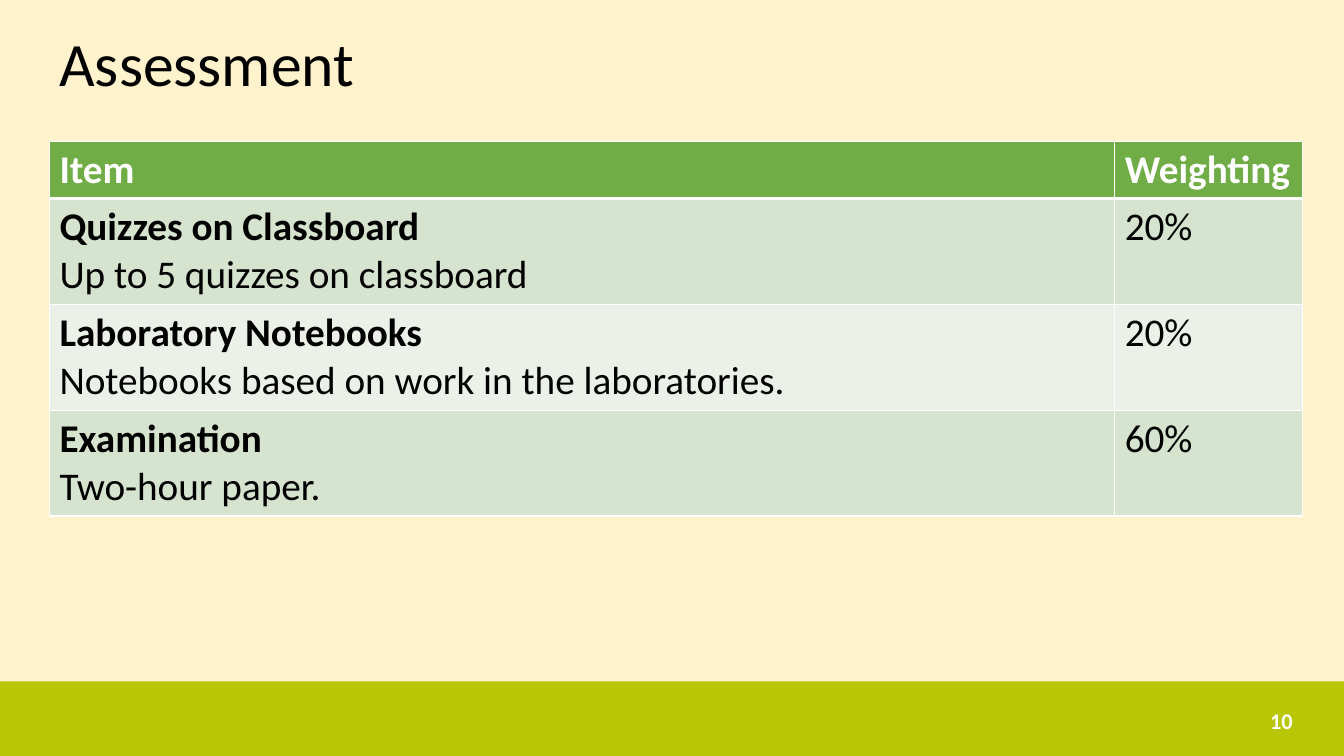
from dataclasses import dataclass

from lxml.etree import SubElement
from pptx import Presentation
from pptx.dml.color import RGBColor
from pptx.enum.shapes import MSO_SHAPE
from pptx.enum.text import MSO_ANCHOR, PP_ALIGN
from pptx.oxml.ns import qn
from pptx.util import Inches, Pt


@dataclass(frozen=True)
class Theme:
    font: str = "Calibri"
    background: str = "FFF2CC"
    footer: str = "B8C605"
    header: str = "70AD47"
    bands: tuple = ("D5E3CF", "EBF1E9")
    dark: str = "000000"
    light: str = "FFFFFF"
    title_size: int = 44
    table_size: int = 28
    number_size: int = 16
    thin: int = 1
    thick: int = 3


THEME = Theme()
WIDTH, HEIGHT = 13.33, 7.5
MARGIN, CONTENT_WIDTH = 0.49, 12.43
HEADER_HEIGHT, ROW_HEIGHT = 0.57, 1.05
WEIGHT_SHARE = 0.15

HEADINGS = ("Item", "Weighting")
ASSESSMENTS = [
    ("Quizzes on Classboard", "Up to 5 quizzes on classboard", "20%"),
    ("Laboratory Notebooks", "Notebooks based on work in the laboratories.", "20%"),
    ("Examination", "Two-hour paper.", "60%"),
]


def paint(fill, color):
    fill.solid()
    fill.fore_color.rgb = RGBColor.from_string(color)


def add_run(p, text, size, color, bold=False):
    r = p.add_run()
    r.text = text
    r.font.name = THEME.font
    r.font.size = Pt(size)
    r.font.bold = bold
    r.font.color.rgb = RGBColor.from_string(color)


def add_label(s, box, text, size, color, bold=False, align=PP_ALIGN.LEFT, spacing=1.0):
    tf = s.shapes.add_textbox(*map(Inches, box)).text_frame
    tf.word_wrap = True
    tf.vertical_anchor = MSO_ANCHOR.MIDDLE
    p = tf.paragraphs[0]
    p.alignment = align
    p.line_spacing = spacing
    add_run(p, text, size, color, bold)


def add_footer(s, box, number):
    left, top, width, height = box
    sp = s.shapes.add_shape(MSO_SHAPE.RECTANGLE, *map(Inches, box))
    sp.shadow.inherit = False
    paint(sp.fill, THEME.footer)
    sp.line.fill.background()
    number_width, number_height = 3.51, 0.4
    number_box = (MARGIN + CONTENT_WIDTH - number_width, top + height / 4,
                  number_width, number_height)
    add_label(s, number_box, number, THEME.number_size, THEME.light,
              bold=True, align=PP_ALIGN.RIGHT)


def set_borders(cell, top, bottom):
    """Draw all four sides; widths are in points."""
    tc_pr = cell._tc.get_or_add_tcPr()
    sides = {"L": THEME.thin, "R": THEME.thin, "T": top, "B": bottom}
    for side, width in sides.items():
        ln = SubElement(tc_pr, qn(f"a:ln{side}"), w=str(Pt(width)))
        SubElement(SubElement(ln, qn("a:solidFill")), qn("a:srgbClr"), val=THEME.light)


def fill_cell(cell, lines, fill, color, top, bottom):
    """Write (text, bold) lines, one paragraph each."""
    set_borders(cell, top, bottom)
    paint(cell.fill, fill)
    tf = cell.text_frame
    for i, (text, bold) in enumerate(lines):
        p = tf.add_paragraph() if i else tf.paragraphs[0]
        add_run(p, text, THEME.table_size, color, bold)


def add_assessment_table(s, left, top, width):
    height = HEADER_HEIGHT + ROW_HEIGHT * len(ASSESSMENTS)
    table = s.shapes.add_table(len(ASSESSMENTS) + 1, len(HEADINGS),
                               *map(Inches, (left, top, width, height))).table
    for column, share in zip(table.columns, (1 - WEIGHT_SHARE, WEIGHT_SHARE)):
        column.width = Inches(width * share)
    table.rows[0].height = Inches(HEADER_HEIGHT)
    for col, heading in enumerate(HEADINGS):
        fill_cell(table.cell(0, col), [(heading, True)], THEME.header, THEME.light,
                  THEME.thin, THEME.thick)
    for row, (item, detail, weight) in enumerate(ASSESSMENTS, 1):
        table.rows[row].height = Inches(ROW_HEIGHT)
        band = THEME.bands[(row - 1) % len(THEME.bands)]
        top_line = THEME.thick if row == 1 else THEME.thin
        for col, lines in enumerate(([(item, True), (detail, False)], [(weight, False)])):
            fill_cell(table.cell(row, col), lines, band, THEME.dark, top_line, THEME.thin)


def build_assessment_slide(prs):
    s = prs.slides.add_slide(prs.slide_layouts[6])
    paint(s.background.fill, THEME.background)
    footer_height = 0.74
    add_footer(s, (0, HEIGHT - footer_height, WIDTH, footer_height), "10")
    add_label(s, (MARGIN, 0.27, CONTENT_WIDTH, 0.78), "Assessment",
              THEME.title_size, THEME.dark, spacing=0.9)
    add_assessment_table(s, MARGIN, 1.4, CONTENT_WIDTH)


def main():
    prs = Presentation()
    prs.slide_width, prs.slide_height = Inches(WIDTH), Inches(HEIGHT)
    build_assessment_slide(prs)
    prs.save("out.pptx")


if __name__ == "__main__":
    main()
